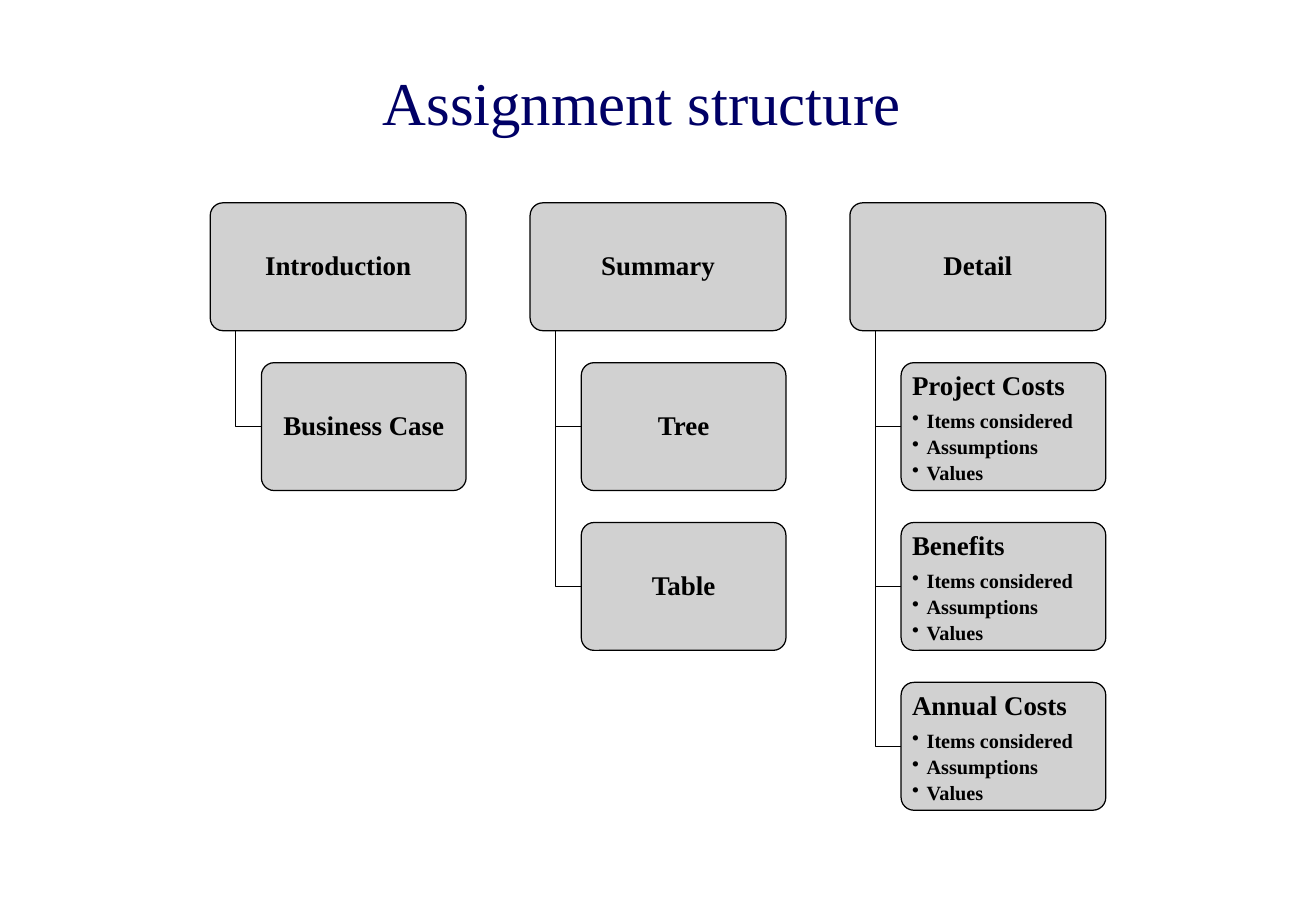
from dataclasses import dataclass
from lxml.etree import SubElement
from pptx import Presentation
from pptx.dml.color import RGBColor
from pptx.enum.shapes import MSO_SHAPE
from pptx.enum.text import MSO_ANCHOR, MSO_AUTO_SIZE, PP_ALIGN
from pptx.oxml.ns import qn
from pptx.util import Inches, Pt


@dataclass(frozen=True)
class Theme:
    """Colours, font and type sizes of the deck."""
    navy: RGBColor = RGBColor(0, 0, 0x66)
    ink: RGBColor = RGBColor(0, 0, 0)
    card: RGBColor = RGBColor(0xCC, 0xCC, 0xCC)
    card_opacity: int = 90
    font: str = "Times New Roman"
    title: int = 36
    heading: int = 16
    item: int = 12
    rule: float = 0.75


@dataclass(frozen=True)
class Box:
    """A rectangle in inches."""
    left: float
    top: float
    width: float
    height: float

    def emu(self):
        """Return the four lengths as slide units."""
        return [Inches(value) for value in (self.left, self.top, self.width, self.height)]


THEME = Theme()
SLIDE = Box(0, 0, 10.83, 7.5)
TITLE = Box(0.81, 0.33, 8.94, 1)
TREES = Box(1.73, 1.67, 7.37, 5)

CARD_WIDTH, CARD_HEIGHT = 2, 1
COLUMN_STEP, ROW_STEP = 2.5, 1.25
CHILD_INDENT, TRUNK_INDENT = 0.4, 0.2
BULLET_INDENT = 0.12

DETAILS = ["Items considered", "Assumptions", "Values"]
STRUCTURE = [
    ("Introduction", [("Business Case", [])]),
    ("Summary", [("Tree", []), ("Table", [])]),
    ("Detail", [("Project Costs", DETAILS), ("Benefits", DETAILS), ("Annual Costs", DETAILS)]),
]


def write(para, text, size=THEME.heading, color=THEME.ink, bold=True,
          align=PP_ALIGN.CENTER, after=0, line=0.9, bullet=False):
    """Put formatted text into a paragraph."""
    if bullet:
        para.level = 1
        props = para._p.get_or_add_pPr()
        props.set("marL", str(Inches(BULLET_INDENT)))
        props.set("indent", str(-Inches(BULLET_INDENT)))
        SubElement(props, qn("a:buChar")).set("char", "•")
    para.alignment = align
    para.line_spacing = line
    para.space_after = Pt(after)
    span = para.add_run()
    span.text = text
    span.font.name = THEME.font
    span.font.size = Pt(size)
    span.font.bold = bold
    span.font.color.rgb = color


def outline(shape):
    """Give a shape a thin dark line and no shadow."""
    shape.shadow.inherit = False
    shape.line.color.rgb = THEME.ink
    shape.line.width = Pt(THEME.rule)


def add_title(page, box, text):
    """Place the title placeholder and fill it."""
    title = page.shapes.title
    title.left, title.top, title.width, title.height = box.emu()
    frame = title.text_frame
    frame.word_wrap = True
    frame.auto_size = MSO_AUTO_SIZE.NONE
    frame.vertical_anchor = MSO_ANCHOR.MIDDLE
    write(frame.paragraphs[0], text, size=THEME.title, color=THEME.navy, bold=False, line=1.0)


def add_card(page, box, heading, items=()):
    """Draw a rounded card with a heading and optional bullets."""
    card = page.shapes.add_shape(MSO_SHAPE.ROUNDED_RECTANGLE, *box.emu())
    card.adjustments[0] = 0.1
    card.fill.solid()
    card.fill.fore_color.rgb = THEME.card
    tint = card.fill._xPr.find(".//" + qn("a:srgbClr"))
    SubElement(tint, qn("a:alpha")).set("val", str(THEME.card_opacity * 1000))
    outline(card)
    frame = card.text_frame
    frame.word_wrap = True
    frame.margin_left = frame.margin_right = Inches(0.06)
    frame.margin_top = frame.margin_bottom = Inches(0.05)
    frame.vertical_anchor = MSO_ANCHOR.TOP if items else MSO_ANCHOR.MIDDLE
    write(frame.paragraphs[0], heading, after=5.6 if items else 0,
          align=PP_ALIGN.LEFT if items else PP_ALIGN.CENTER)
    for item in items:
        write(frame.add_paragraph(), item, size=THEME.item, align=PP_ALIGN.LEFT,
              after=2.4, bullet=True)


def add_branch(page, box):
    """Draw an elbow down the left side and along the bottom of a box."""
    left, top, width, height = box.emu()
    builder = page.shapes.build_freeform(left, top)
    builder.add_line_segments([(left, top + height), (left + width, top + height)], close=False)
    branch = builder.convert_to_shape()
    branch.fill.background()
    outline(branch)


def add_tree(page, box, unit, heading, children):
    """Draw a parent card with its children hanging below."""
    parent = Box(box.left, box.top, box.width, CARD_HEIGHT * unit)
    add_card(page, parent, heading)
    indent = CHILD_INDENT * unit
    trunk = TRUNK_INDENT * unit
    for row, (name, items) in enumerate(children, start=1):
        child = Box(box.left + indent, box.top + row * ROW_STEP * unit,
                    box.width - indent, parent.height)
        start = parent.top + parent.height
        add_branch(page, Box(box.left + trunk, start, indent - trunk,
                             child.top + child.height / 2 - start))
        add_card(page, child, name, items)


def add_trees(page, box, structure):
    """Spread the trees over equal columns of a box."""
    unit = box.width / (COLUMN_STEP * (len(structure) - 1) + CARD_WIDTH)
    for column, (heading, children) in enumerate(structure):
        place = Box(box.left + column * COLUMN_STEP * unit, box.top, CARD_WIDTH * unit, box.height)
        add_tree(page, place, unit, heading, children)


def main():
    """Build and save the deck."""
    deck = Presentation()
    deck.slide_width, deck.slide_height = Inches(SLIDE.width), Inches(SLIDE.height)
    page = deck.slides.add_slide(deck.slide_layouts.get_by_name("Title Only"))
    add_title(page, TITLE, "Assignment structure")
    add_trees(page, TREES, STRUCTURE)
    deck.save("out.pptx")


if __name__ == "__main__":
    main()
